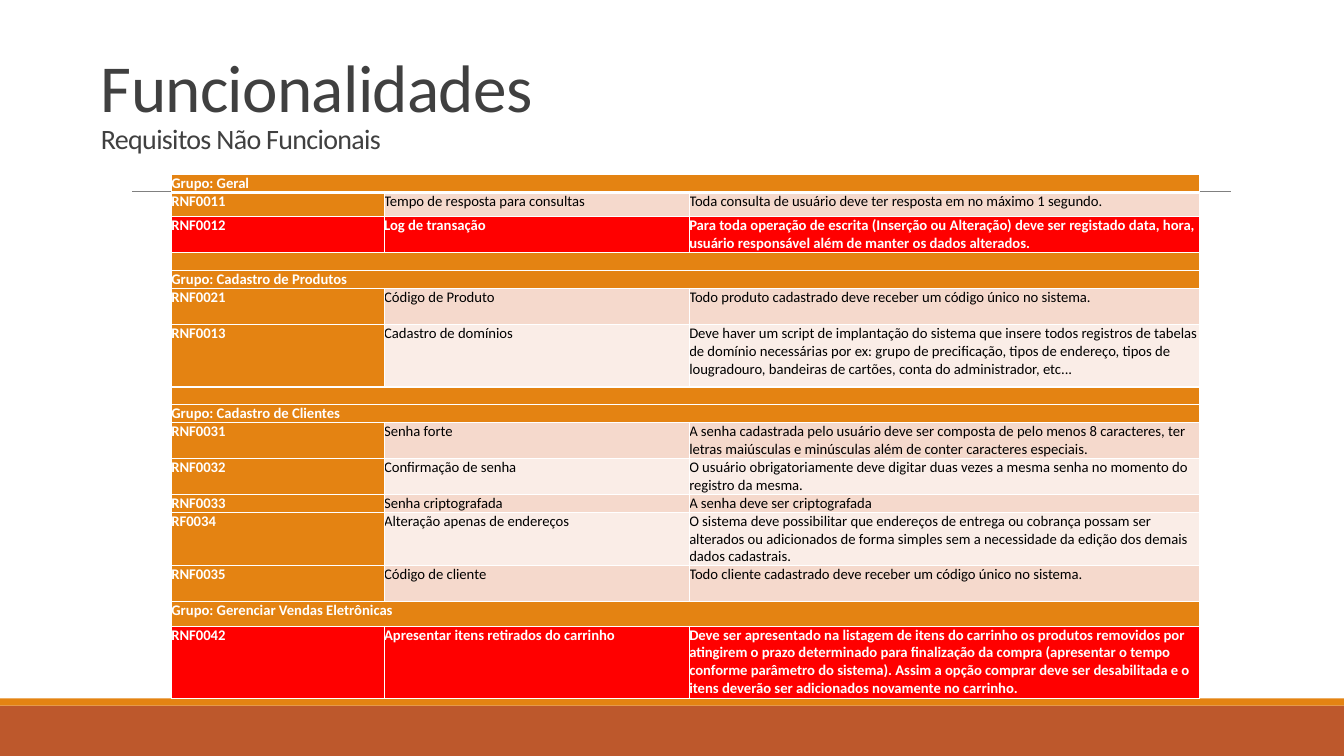
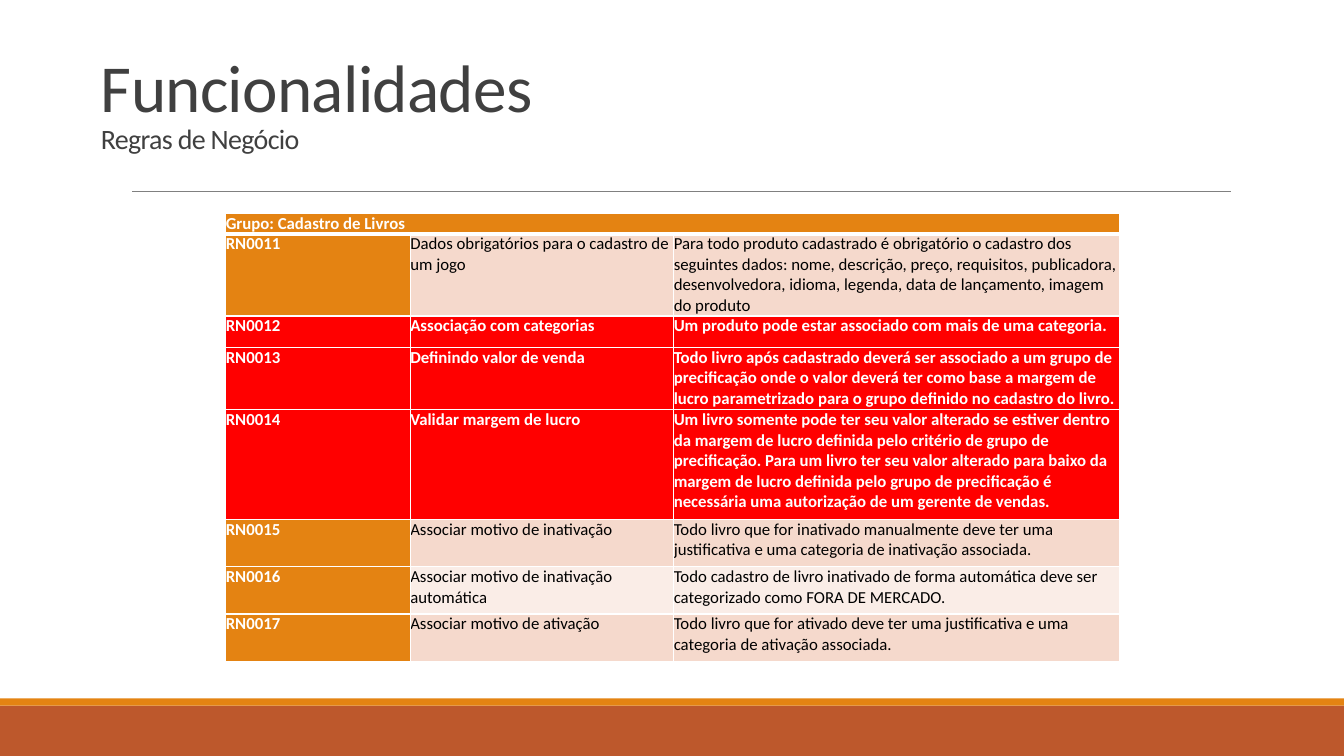
from dataclasses import dataclass

from lxml import etree
from pptx import Presentation
from pptx.dml.color import RGBColor
from pptx.enum.shapes import MSO_CONNECTOR, MSO_SHAPE
from pptx.enum.text import MSO_ANCHOR, MSO_AUTO_SIZE, PP_ALIGN
from pptx.oxml.ns import qn
from pptx.util import Cm, Pt

RECTANGLE = MSO_SHAPE.RECTANGLE
STRAIGHT = MSO_CONNECTOR.STRAIGHT
BOTTOM = MSO_ANCHOR.BOTTOM
NO_AUTOFIT = MSO_AUTO_SIZE.NONE
LEFT = PP_ALIGN.LEFT


@dataclass(frozen=True)
class Theme:
    font: str = "Calibri"
    title_size: float = 48
    subtitle_size: float = 20
    white: RGBColor = RGBColor(0xFF, 0xFF, 0xFF)
    black: RGBColor = RGBColor(0, 0, 0)
    title: RGBColor = RGBColor(0x40, 0x40, 0x40)
    rule: RGBColor = RGBColor(0x80, 0x80, 0x80)
    rust: RGBColor = RGBColor(0xBD, 0x58, 0x2C)
    orange: RGBColor = RGBColor(0xE4, 0x83, 0x12)
    red: RGBColor = RGBColor(0xFF, 0, 0)
    odd_row: RGBColor = RGBColor(0xF5, 0xD9, 0xCC)
    even_row: RGBColor = RGBColor(0xFA, 0xED, 0xE7)


THEME = Theme()


def write(paragraph, text, *, size, color, bold=False, tracking=0):
    run = paragraph.add_run()
    run.text = text
    run.font.name = THEME.font
    run.font.size = Pt(size)
    run.font.bold = bold
    run.font.color.rgb = color
    if tracking:
        run._r.get_or_add_rPr().set("spc", str(int(tracking * 100)))


def style_cell(cell, fill, bottom_width):
    cell.margin_left = cell.margin_right = cell.margin_top = cell.margin_bottom = 0
    properties = cell._tc.get_or_add_tcPr()
    for side, width in (("lnL", 1), ("lnR", 1), ("lnT", 1), ("lnB", bottom_width)):
        border = etree.SubElement(properties, qn(f"a:{side}"), w=str(Pt(width)))
        paint = etree.SubElement(border, qn("a:solidFill"))
        etree.SubElement(paint, qn("a:srgbClr"), val=str(THEME.white))
    cell.fill.solid()
    cell.fill.fore_color.rgb = fill


URGENT = {"RNF0012", "RNF0042", "RN0012", "RN0013", "RN0014"}

NON_FUNCTIONAL = [
    (0.41, "Grupo: Geral"),
    (0.61, "RNF0011", "Tempo de resposta para consultas",
     "Toda consulta de usuário deve ter resposta em no máximo 1 segundo."),
    (0.91, "RNF0012", "Log de transação",
     "Para toda operação de escrita (Inserção ou Alteração) deve ser registado data, hora, "
     "usuário responsável além de manter os dados alterados."),
    (0.41, ""),
    (0.41, "Grupo: Cadastro de Produtos"),
    (0.91, "RNF0021", "Código de Produto",
     "Todo produto cadastrado deve receber um código único no sistema."),
    (1.57, "RNF0013", "Cadastro de domínios",
     "Deve haver um script de implantação do sistema que insere todos registros de tabelas "
     "de domínio necessárias por ex: grupo de precificação, tipos de endereço, tipos de "
     "lougradouro, bandeiras de cartões, conta do administrador, etc..."),
    (0.41, ""),
    (0.41, "Grupo: Cadastro de Clientes"),
    (0.91, "RNF0031", "Senha forte",
     "A senha cadastrada pelo usuário deve ser composta de pelo menos 8 caracteres, ter "
     "letras maiúsculas e minúsculas além de conter caracteres especiais."),
    (0.79, "RNF0032", "Confirmação de senha",
     "O usuário obrigatoriamente deve digitar duas vezes a mesma senha no momento do "
     "registro da mesma."),
    (0.41, "RNF0033", "Senha criptografada", "A senha deve ser criptografada"),
    (1.19, "RF0034", "Alteração apenas de endereços",
     "O sistema deve possibilitar que endereços de entrega ou cobrança possam ser "
     "alterados ou adicionados de forma simples sem a necessidade da edição dos demais "
     "dados cadastrais."),
    (0.91, "RNF0035", "Código de cliente",
     "Todo cliente cadastrado deve receber um código único no sistema."),
    (0.61, "Grupo: Gerenciar Vendas Eletrônicas"),
    (1.83, "RNF0042", "Apresentar itens retirados do carrinho",
     "Deve ser apresentado na listagem de itens do carrinho os produtos removidos por "
     "atingirem o prazo determinado para finalização da compra (apresentar o tempo "
     "conforme parâmetro do sistema). Assim a opção comprar deve ser desabilitada e o "
     "itens deverão ser adicionados novamente no carrinho."),
]

BUSINESS_RULES = [
    (0.41, "Grupo: Cadastro de Livros"),
    (1.98, "RN0011", "Dados obrigatórios para o cadastro de um jogo",
     "Para todo produto cadastrado é obrigatório o cadastro dos seguintes dados: nome, "
     "descrição, preço, requisitos, publicadora, desenvolvedora, idioma, legenda, data de "
     "lançamento, imagem do produto"),
    (0.79, "RN0012", "Associação com categorias",
     "Um produto pode estar associado com mais de uma categoria."),
    (1.57, "RN0013", "Definindo valor de venda",
     "Todo livro após cadastrado deverá ser associado a um grupo de precificação onde o "
     "valor deverá ter como base a margem de lucro parametrizado para o grupo definido no "
     "cadastro do livro."),
    (2.77, "RN0014", "Validar margem de lucro",
     "Um livro somente pode ter seu valor alterado se estiver dentro da margem de lucro "
     "definida pelo critério de grupo de precificação. Para um livro ter seu valor alterado "
     "para baixo da margem de lucro definida pelo grupo de precificação é necessária uma "
     "autorização de um gerente de vendas."),
    (1.19, "RN0015", "Associar motivo de inativação",
     "Todo livro que for inativado manualmente deve ter uma justificativa e uma categoria "
     "de inativação associada."),
    (1.19, "RN0016", "Associar motivo de inativação automática",
     "Todo cadastro de livro inativado de forma automática deve ser categorizado como FORA "
     "DE MERCADO."),
    (1.19, "RN0017", "Associar motivo de ativação",
     "Todo livro que for ativado deve ter uma justificativa e uma categoria de ativação "
     "associada."),
]

DECK = [
    ("Requisitos Não Funcionais", NON_FUNCTIONAL, 4.32, 4.4, (5.36, 7.69, 12.86), 10.5),
    ("Regras de Negócio", BUSINESS_RULES, 5.69, 5.38, (4.65, 6.64, 11.24), 12),
]

prs = Presentation()
prs.slide_width = Cm(33.87)
prs.slide_height = Cm(19.05)

layout = prs.slide_layouts[5]
for placeholder in list(layout.placeholders):
    if placeholder.placeholder_format.idx:
        layout.shapes.element.remove(placeholder.element)
    else:
        placeholder.left, placeholder.top = Cm(2.29), Cm(0)
        placeholder.width, placeholder.height = Cm(27.94), Cm(4.04)

slides = [prs.slides.add_slide(layout) for _ in DECK]

shared = []
for top, height, color in ((17.78, 1.27, THEME.rust), (17.6, 0.18, THEME.orange)):
    band = slides[0].shapes.add_shape(RECTANGLE, 0, Cm(top), prs.slide_width, Cm(height))
    band.shadow.inherit = False
    band.fill.solid()
    band.fill.fore_color.rgb = color
    band.line.fill.background()
    shared.append(band)

title_rule = slides[0].shapes.add_connector(STRAIGHT, Cm(3.33), Cm(4.83), Cm(31.01), Cm(4.83))
title_rule.line.color.rgb = THEME.rule
title_rule.line.width = Pt(0.5)
etree.SubElement(title_rule.element.spPr, qn("a:effectLst"))
shared.append(title_rule)

for part in shared:
    layout.shapes.element.append(part.element)

for slide, (subtitle, rows, left, top, widths, size) in zip(slides, DECK):
    heading = slide.shapes.title.text_frame
    heading.auto_size = NO_AUTOFIT
    heading.word_wrap = True
    heading.vertical_anchor = BOTTOM
    title_line = heading.paragraphs[0]
    title_line.alignment = LEFT
    title_line.line_spacing = 0.85
    write(title_line, "Funcionalidades", size=THEME.title_size, color=THEME.title, tracking=-0.5)
    title_line.add_line_break()
    write(title_line, subtitle, size=THEME.subtitle_size, color=THEME.title, tracking=-0.5)

    requirements = slide.shapes.add_table(
        len(rows), len(widths), Cm(left), Cm(top),
        Cm(sum(widths)), Cm(sum(row[0] for row in rows)),
    ).table
    for column, width in zip(requirements.columns, widths):
        column.width = Cm(width)

    for number, (height, *texts) in enumerate(rows):
        requirements.rows[number].height = Cm(height)
        is_group = len(texts) == 1
        is_urgent = texts[0] in URGENT
        if is_group:
            requirements.cell(number, 0).merge(requirements.cell(number, len(widths) - 1))
        for position in range(len(widths)):
            cell = requirements.cell(number, position)
            is_label = is_group or position == 0
            if is_urgent:
                fill = THEME.red
            elif is_label:
                fill = THEME.orange
            else:
                fill = THEME.odd_row if number % 2 else THEME.even_row
            style_cell(cell, fill, 1 if number else 3)
            strong = is_label or is_urgent
            paragraph = cell.text_frame.paragraphs[0]
            if position < len(texts) and texts[position]:
                write(paragraph, texts[position], size=size, bold=strong,
                      color=THEME.white if strong else THEME.black)
            else:
                etree.SubElement(paragraph._p, qn("a:endParaRPr"), sz=str(int(size * 100)))

prs.save("out.pptx")
